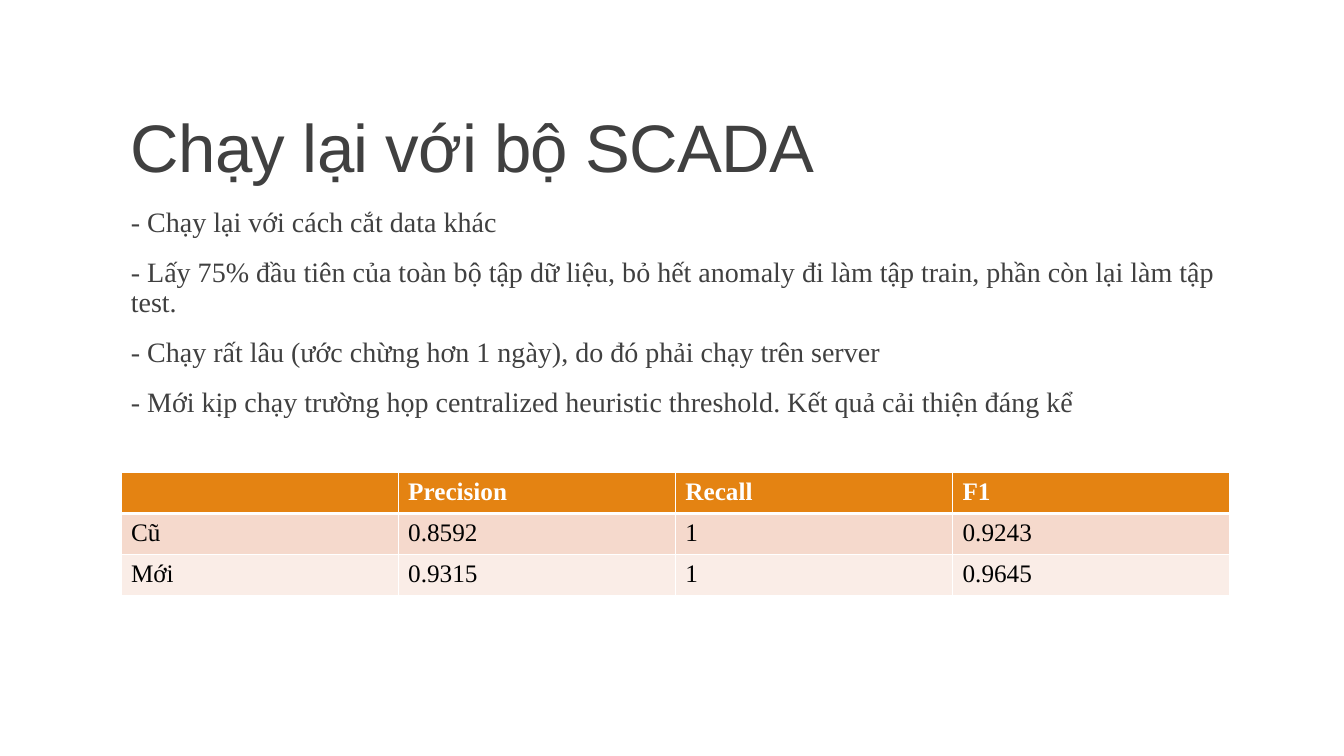
"""Build the slide on rerunning the experiment with the SCADA dataset."""
from dataclasses import dataclass

from lxml import etree
from pptx import Presentation
from pptx.dml.color import RGBColor
from pptx.enum.text import MSO_ANCHOR
from pptx.oxml.ns import qn
from pptx.util import Pt

TOP, BOTTOM = MSO_ANCHOR.TOP, MSO_ANCHOR.BOTTOM
COLORS = {
    "text": "404040",
    "header": "E48312",
    "old": "F5D9CC",
    "new": "FAEDE7",
    "white": "FFFFFF",
    "black": "000000",
}
LEFT, WIDTH = 86.4, 792
ROW_HEIGHT = 29.2
SERIF = "Times New Roman"


@dataclass
class TextBlock:
    top: float
    height: float
    lines: list[str]
    font: str
    size: float
    line_spacing: float
    anchor: MSO_ANCHOR = TOP
    right_inset: float = 0
    before: float = 0
    after: float = 0
    tracking: int = 0


@dataclass
class TableRow:
    values: list[str]
    fill: str
    color: str = "black"
    bold: bool = False
    top_line: float = 1
    bottom_line: float = 1


TITLE = TextBlock(22.3, 114.5, ["Chạy lại với bộ SCADA"], "Arial", 48, 0.85,
                  anchor=BOTTOM, right_inset=7.2, tracking=-50)
BODY = TextBlock(145.4, 316.8, [
    "- Chạy lại với cách cắt data khác",
    "- Lấy 75% đầu tiên của toàn bộ tập dữ liệu, bỏ hết anomaly đi làm tập train, "
    "phần còn lại làm tập test.",
    "- Chạy rất lâu (ước chừng hơn 1 ngày), do đó phải chạy trên server",
    "- Mới kịp chạy trường họp centralized heuristic threshold. Kết quả cải thiện đáng kể",
], SERIF, 20, 0.9, before=12, after=2)
ROWS = [
    TableRow(["", "Precision", "Recall", "F1"], "header", "white", True, bottom_line=3),
    TableRow(["Cũ", "0.8592", "1", "0.9243"], "old", top_line=3),
    TableRow(["Mới", "0.9315", "1", "0.9645"], "new"),
]


def rgb(name: str) -> RGBColor:
    """Return the named colour."""
    return RGBColor.from_string(COLORS[name])


def style_font(font, name: str, size: float, color: str, bold: bool = False) -> None:
    """Set typeface, size, colour and weight."""
    font.name, font.size, font.bold = name, Pt(size), bold
    font.color.rgb = rgb(color)


def add_text(page, block: TextBlock) -> None:
    """Draw a text block across the content width."""
    box = page.shapes.add_textbox(Pt(LEFT), Pt(block.top), Pt(WIDTH), Pt(block.height))
    frame = box.text_frame
    frame.word_wrap = True
    frame.vertical_anchor = block.anchor
    frame.margin_right = Pt(block.right_inset)
    frame.text = "\n".join(block.lines)
    for para in frame.paragraphs:
        para.line_spacing = block.line_spacing
        para.space_before, para.space_after = Pt(block.before), Pt(block.after)
        style_font(para.font, block.font, block.size, "text")
        if block.tracking:
            for span in para.runs:
                span.font._element.set("spc", str(block.tracking))


def add_border(cell, side: str, width: float) -> None:
    """Draw one white edge of a table cell."""
    properties = cell._tc.get_or_add_tcPr()
    line = etree.SubElement(properties, qn(f"a:ln{side}"), w=str(Pt(width)))
    fill = etree.SubElement(line, qn("a:solidFill"))
    etree.SubElement(fill, qn("a:srgbClr"), val=COLORS["white"])


def add_results(page, top: float, rows: list[TableRow]) -> None:
    """Draw the results table with equal columns."""
    table = page.shapes.add_table(len(rows), len(rows[0].values), Pt(LEFT), Pt(top),
                                  Pt(WIDTH), Pt(ROW_HEIGHT * len(rows))).table
    for row_index, row in enumerate(rows):
        edges = {"L": 1, "R": 1, "T": row.top_line, "B": row.bottom_line}
        for column_index, value in enumerate(row.values):
            cell = table.cell(row_index, column_index)
            cell.text = value
            style_font(cell.text_frame.paragraphs[0].font, SERIF, 18, row.color, row.bold)
            for side, width in edges.items():
                add_border(cell, side, width)
            cell.fill.solid()
            cell.fill.fore_color.rgb = rgb(row.fill)


def main() -> None:
    """Assemble and save the deck."""
    deck = Presentation()
    deck.slide_width, deck.slide_height = Pt(960), Pt(540)
    page = deck.slides.add_slide(deck.slide_layouts[6])
    for block in (TITLE, BODY):
        add_text(page, block)
    add_results(page, 337.7, ROWS)
    deck.save("out.pptx")


main()
